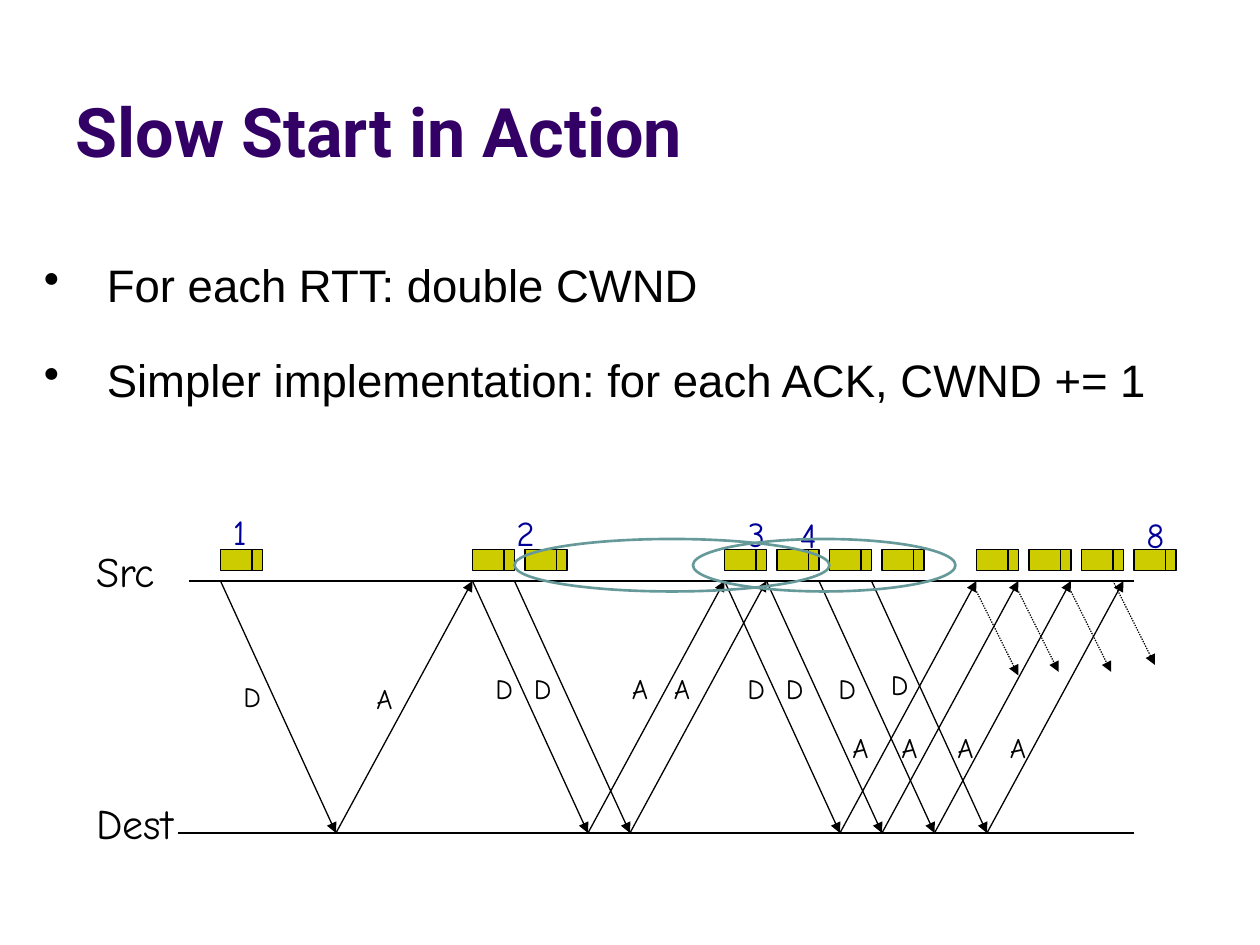
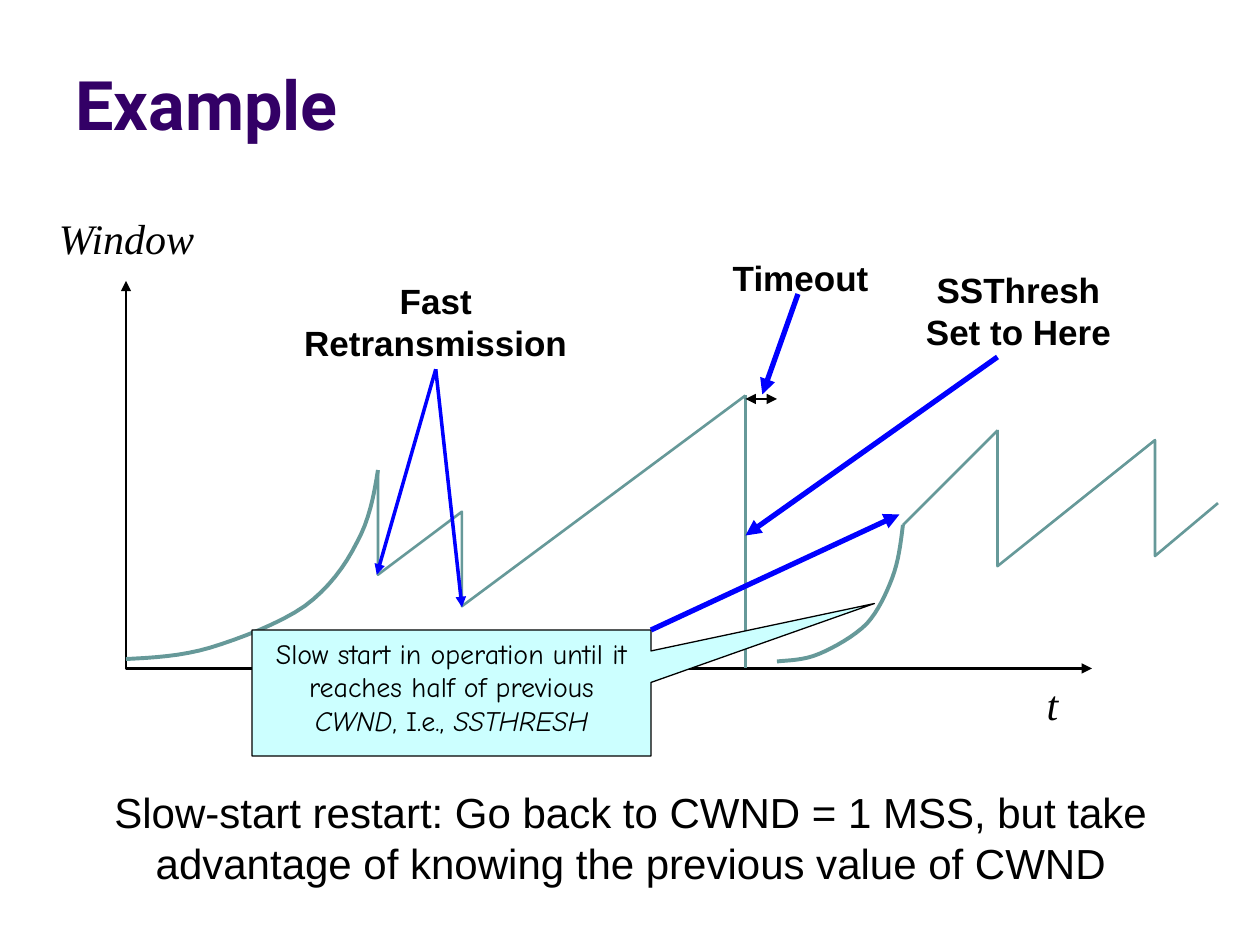
from lxml import etree
from pptx import Presentation
from pptx.dml.color import RGBColor
from pptx.enum import dml, shapes, text
from pptx.oxml import ns
from pptx.util import Pt

HUES = {"title": "330066", "ink": "000000", "count": "000099", "packet": "CCCC00",
        "curve": "669999", "arrow": "0000FF", "note": "CCFFFF"}
RGB = {name: RGBColor.from_string(code) for name, code in HUES.items()}
HAND = {"name": "Comic Neue", "size": Pt(16)}
BODY = {"name": "Arial", "size": Pt(26)}
BOLD = {"name": "Arial", "size": Pt(20), "bold": True}
AXIS = {"name": "Times New Roman", "size": Pt(24), "italic": True}
LEFT, MID = text.PP_ALIGN.LEFT, text.PP_ALIGN.CENTER


def stroke(slide, pts, hue="ink", width=0.75, ends="", dash=None):
    """Draw a connector through two points, or an open outline through more."""
    pts = [(Pt(x), Pt(y)) for x, y in pts]
    if len(pts) == 2:
        item = slide.shapes.add_connector(shapes.MSO_CONNECTOR.STRAIGHT, *pts[0], *pts[1])
    else:
        form = slide.shapes.build_freeform(*pts[0])
        form.add_line_segments(pts[1:], close=False)
        item = form.convert_to_shape()
        item.fill.background()
    item.line.color.rgb = RGB[hue]
    item.line.width = Pt(width)
    if dash:
        item.line.dash_style = dash
    props = item.element.spPr
    for end in ends.split():
        etree.SubElement(props.get_or_add_ln(), ns.qn(f"a:{end}End"), type="triangle")
    etree.SubElement(props, ns.qn("a:effectLst"))


def label(slide, box, lines, look, hue="ink", align=LEFT, wrap=False):
    """Add a text box with one paragraph for each line."""
    item = slide.shapes.add_textbox(*map(Pt, box))
    frame = item.text_frame
    frame.word_wrap = wrap
    frame.auto_size = text.MSO_AUTO_SIZE.SHAPE_TO_FIT_TEXT
    frame.text = "\n".join(lines)
    for para in frame.paragraphs:
        para.alignment = align
        for key, value in look.items():
            setattr(para.font, key, value)
        para.font.color.rgb = RGB[hue]
    return frame


deck = Presentation()
deck.slide_width, deck.slide_height = Pt(720), Pt(540)

# Slides and titles
pages = []
for words, top in (("Slow Start in Action", 9.4), ("Example", -5.8)):
    page = deck.slides.add_slide(deck.slide_layouts[5])
    title = page.shapes.title
    title.left, title.top, title.width, title.height = map(Pt, (36, top, 648, 92))
    frame = title.text_frame
    frame.text = words
    frame.vertical_anchor = text.MSO_ANCHOR.BOTTOM
    frame.auto_size = text.MSO_AUTO_SIZE.NONE
    para = frame.paragraphs[0]
    para.alignment = LEFT
    for key, value in {"name": "Roboto", "size": Pt(39), "bold": True}.items():
        setattr(para.font, key, value)
    para.font.color.rgb = RGB["title"]
    pages.append(page)
flow, plot = pages

# Slow start: bullets
frame = label(flow, (18, 143.5, 678, 92),
              ["For each RTT: double CWND",
               "Simpler implementation: for each ACK, CWND += 1"], BODY, wrap=True)
frame.paragraphs[1].space_before = Pt(23)
for para in frame.paragraphs:
    props = para._p.get_or_add_pPr()
    props.set("marL", str(Pt(36)))
    props.set("indent", str(-Pt(36)))
    etree.SubElement(props, ns.qn("a:buChar"), char="•")

# Source and destination time lines
SRC, DEST = 332, 476
for name, x, y, width in (("Src", 108, SRC, 55), ("Dest", 102, DEST, 68)):
    stroke(flow, [(x, y), (648, y)])
    label(flow, (48, y - 24, width, 36), [name], {**HAND, "size": Pt(24)})

# Packets: each round doubles the last
for turn in range(4):
    for n in range(2 ** turn if turn < 3 else 4):
        x = 126 + 144 * turn + 30 * n
        pack = flow.shapes.add_shape(shapes.MSO_SHAPE.RECTANGLE, *map(Pt, (x, 314, 24, 12)))
        pack.shadow.inherit = False
        pack.fill.solid()
        pack.fill.fore_color.rgb = RGB["packet"]
        pack.line.color.rgb = RGB["ink"]
        pack.line.width = Pt(0.75)
        stroke(flow, [(x + 18, 314), (x + 18, 326)])

# Data go down, acknowledgements come back up
for x in (126, 270, 294, 414, 438, 468, 498):
    stroke(flow, [(x, SRC), (x + 66, DEST)], ends="tail")
    stroke(flow, [(x + 66, DEST), (x + 144, SRC)], ends="tail")

# Next round of data
for x, y, dx, dy in ((558, 338, 24, 48), (582, 338, 23, 46), (612, 338, 23, 46), (636, SRC, 24, 48)):
    stroke(flow, [(x, y), (x + dx, y + dy)], ends="tail", dash=dml.MSO_LINE.ROUND_DOT)

# Arrow letters and packet counts
marks = {"D": [(132, 385), (276, 380), (298, 380), (420, 380), (442, 380), (472, 380), (502, 378)],
         "A": [(208, 386), (354, 380), (378, 380), (480, 414), (508, 414), (540, 414), (570, 414)]}
for mark, spots in marks.items():
    for x, y in spots:
        label(flow, (x, y, 26, 26.6), [mark], HAND)
for count, x, y, width in (("1", 126, 288, 24), ("2", 288, 289, 26.6), ("3", 420, 289.5, 26.6),
                           ("4", 450, 290, 26.6), ("8", 648, 290, 26.6)):
    label(flow, (x, y, width, 31), [count], {**HAND, "size": Pt(20)}, "count")

# Rings that tie the rounds together
for x, width in ((294, 180), (396, 150)):
    ring = flow.shapes.add_shape(shapes.MSO_SHAPE.OVAL, *map(Pt, (x, 308, width, 30)))
    ring.shadow.inherit = False
    ring.fill.background()
    ring.line.color.rgb = RGB["curve"]
    ring.line.width = Pt(1.5)

# Example: axes
stroke(plot, [(72, 160.5), (72, 382), (624, 382)], width=1.5, ends="head tail")
label(plot, (591, 384, 21, 36), ["t"], AXIS)
label(plot, (26.6, 118, 93, 36), ["Window"], AXIS)

# Slow-start growth, as chains of cubic curves
first = [(216, 268.6), (213.8, 283), (211, 297.4), (203.8, 310.3), (197.3, 323.3), (187.9, 336.2),
         (174.2, 346.3), (159.8, 356.4), (136.8, 365), (120.2, 370.1), (103, 375.1), (87.8, 375.8),
         (72, 376.6)]
again = [(516, 300), (514.8, 310.3), (513.4, 321.1), (509.8, 330.5), (506.2, 339.8), (501.8, 349.2),
         (495.4, 356.4), (488.2, 363.6), (476.6, 370.1), (468, 373.7), (459.4, 377.3), (451.4, 377.3),
         (444, 378)]
for knots in (first, again):
    trail = [knots[0]]
    for i in range(0, len(knots) - 1, 3):
        for t in (step / 8 for step in range(1, 9)):
            parts = ((1 - t) ** 3, 3 * t * (1 - t) ** 2, 3 * t * t * (1 - t), t ** 3)
            trail.append(tuple(sum(w * k[axis] for w, k in zip(parts, knots[i:i + 4]))
                               for axis in (0, 1)))
    stroke(plot, trail, "curve", 2.25)

# Saw teeth and the timeout drop
for teeth in ([(216, 268.6), (216, 328.4), (264, 292.4), (264, 346.4), (426, 226)],
              [(426, 226), (426, 382)],
              [(516, 300), (570, 246)],
              [(570, 245.7), (570, 323.5), (660, 251.5), (660, 317.7), (696, 287.5)]):
    stroke(plot, teeth, "curve", 1.5)

# Callout
note = plot.shapes.add_shape(shapes.MSO_SHAPE.RECTANGULAR_CALLOUT, *map(Pt, (144, 360, 228, 72)))
note.adjustments[0], note.adjustments[1] = 1.06, -0.71
note.shadow.inherit = False
note.fill.solid()
note.fill.fore_color.rgb = RGB["note"]
note.line.color.rgb = RGB["ink"]
note.line.width = Pt(0.75)
note.text_frame.vertical_anchor = text.MSO_ANCHOR.TOP
para = note.text_frame.paragraphs[0]
para.alignment = MID
for words, slant in (("Slow start in operation until it reaches half of previous ", False),
                     ("CWND", True), (", I.e., ", False), ("SSTHRESH", True)):
    run = para.add_run()
    run.text = words
    for key, value in {**HAND, "italic": slant}.items():
        setattr(run.font, key, value)
    run.font.color.rgb = RGB["ink"]

# Pointers
for start, stop, width in (((372, 360), (514, 294), 3), ((456, 168), (435.6, 225.4), 3),
                           ((570, 204), (426, 306), 3), ((249, 211), (215.3, 328.4), 2),
                           ((249, 211), (264, 347), 2)):
    stroke(plot, [start, stop], "arrow", width, "tail")
stroke(plot, [(426, 228), (444, 228)], ends="head tail")

# Event names and summary
for box, lines, look in (
        ((402, 143.3, 111, 31), ["Timeout"], BOLD),
        ((156, 156, 186, 55.4), ["Fast Retransmission"], BOLD),
        ((510, 150, 144, 55.4), ["SSThresh", "Set to Here"], BOLD),
        ((52, 446, 617, 65.5), ["Slow-start restart: Go back to CWND = 1 MSS, but take advantage "
                                "of knowing the previous value of CWND"], {**BODY, "size": Pt(24)})):
    label(plot, box, lines, look, align=MID, wrap=True)

deck.save("out.pptx")
